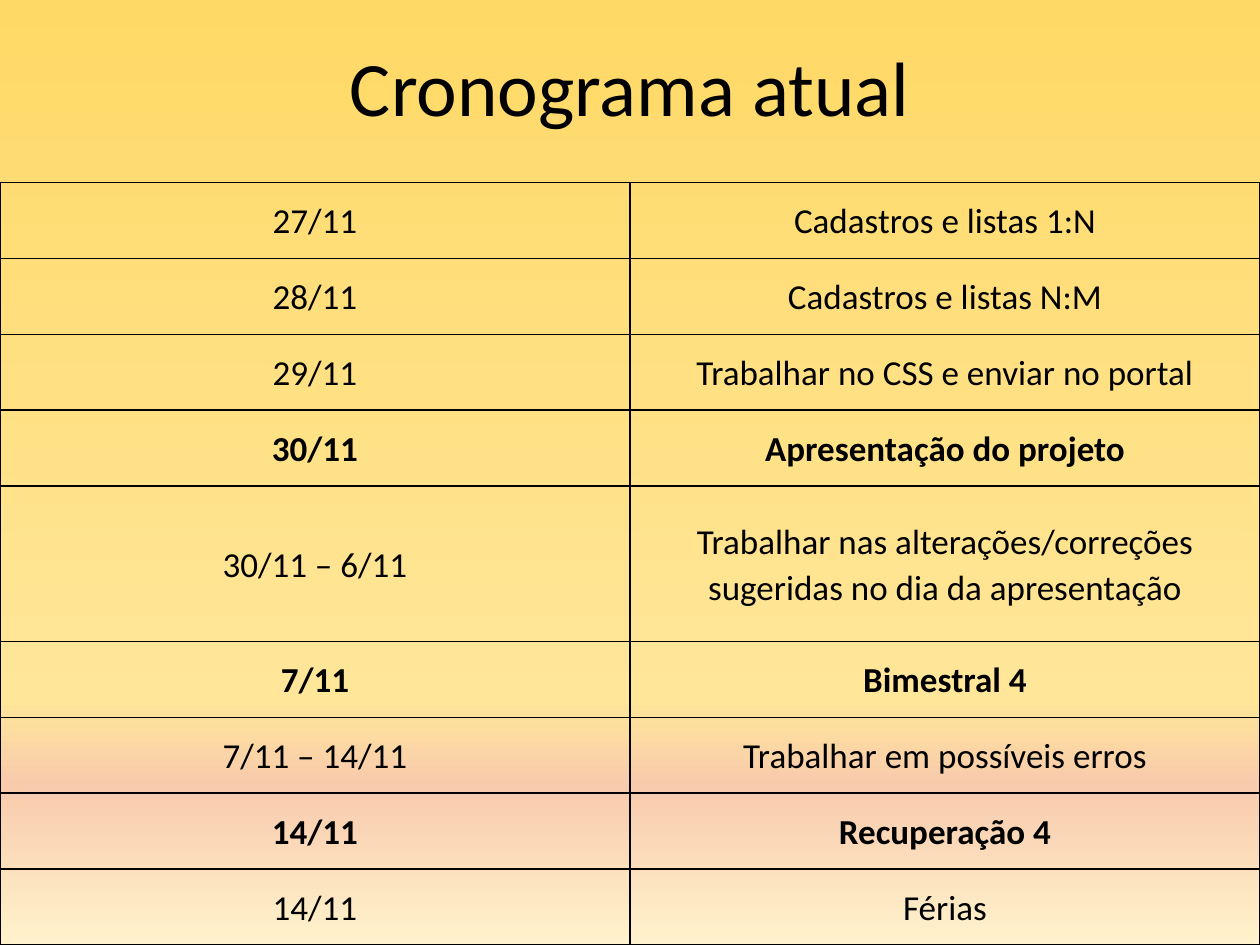
from lxml.etree import SubElement
from pptx import Presentation
from pptx.dml.color import RGBColor
from pptx.enum.text import MSO_ANCHOR, PP_ALIGN
from pptx.oxml.ns import qn
from pptx.util import Cm, Pt

BLACK = RGBColor(0x00, 0x00, 0x00)
GOLD = RGBColor(0xFF, 0xD9, 0x66)
LIGHT_GOLD = RGBColor(0xFF, 0xE6, 0x99)
PEACH = RGBColor(0xF8, 0xCB, 0xAD)
CREAM = RGBColor(0xFF, 0xF2, 0xCC)
FONT = "Calibri"

TITLE = "Cronograma atual"
BACKGROUND = [(0, GOLD), (74, LIGHT_GOLD), (83, PEACH), (100, CREAM)]
SCHEDULE = [
    ("27/11", "Cadastros e listas 1:N", False),
    ("28/11", "Cadastros e listas N:M", False),
    ("29/11", "Trabalhar no CSS e enviar no portal", False),
    ("30/11", "Apresentação do projeto", True),
    ("30/11 – 6/11", "Trabalhar nas alterações/correções sugeridas no dia da apresentação", False),
    ("7/11", "Bimestral 4", True),
    ("7/11 – 14/11", "Trabalhar em possíveis erros", False),
    ("14/11", "Recuperação 4", True),
    ("14/11", "Férias", False),
]
WIDTH, HEIGHT = 25.4, 19.05
TITLE_HEIGHT = 3.68
ROW_HEIGHT = 1.53
TALL_ROW = 4


def write(tf, text, size, bold=False, spacing=1.0):
    tf.word_wrap = True
    p = tf.paragraphs[0]
    p.alignment = PP_ALIGN.CENTER
    p.line_spacing = spacing
    r = p.add_run()
    r.text = text
    r.font.name = FONT
    r.font.size = Pt(size)
    r.font.bold = bold
    r.font.color.rgb = BLACK


def add_solid(parent, color):
    fill = SubElement(parent, qn("a:solidFill"))
    SubElement(fill, qn("a:srgbClr"), val=str(color))


def paint_background(s):
    fill = s.background.fill
    fill.gradient()
    fill.gradient_angle = 270
    stops = s.element.find(".//" + qn("a:gsLst"))
    for stop in list(stops):
        stops.remove(stop)
    for percent, color in BACKGROUND:
        stop = SubElement(stops, qn("a:gs"), pos=str(percent * 1000))
        SubElement(stop, qn("a:srgbClr"), val=str(color))


def style_cell(cell):
    cell.vertical_anchor = MSO_ANCHOR.MIDDLE
    cell.margin_left = cell.margin_right = Cm(0.18)
    cell.margin_top = cell.margin_bottom = 0
    tc_pr = cell._tc.get_or_add_tcPr()
    for side in ("L", "R", "T", "B"):
        add_solid(SubElement(tc_pr, qn(f"a:ln{side}"), w=str(Pt(1))), BLACK)
    cell.fill.background()


def add_title(s):
    sp = s.shapes.add_textbox(0, 0, Cm(WIDTH), Cm(TITLE_HEIGHT))
    sp.text_frame.vertical_anchor = MSO_ANCHOR.MIDDLE
    write(sp.text_frame, TITLE, 44, spacing=0.9)


def add_schedule(s):
    table_height = HEIGHT - TITLE_HEIGHT
    table = s.shapes.add_table(
        len(SCHEDULE), 2, 0, Cm(TITLE_HEIGHT), Cm(WIDTH), Cm(table_height)
    ).table
    table.first_row = table.horz_banding = False
    for row in table.rows:
        row.height = Cm(ROW_HEIGHT)
    table.rows[TALL_ROW].height = Cm(table_height - ROW_HEIGHT * (len(SCHEDULE) - 1))
    for i, (date, task, bold) in enumerate(SCHEDULE):
        for j, text in enumerate((date, task)):
            cell = table.cell(i, j)
            style_cell(cell)
            write(cell.text_frame, text, 20, bold=bold, spacing=1.07)


def main():
    prs = Presentation()
    prs.slide_width, prs.slide_height = Cm(WIDTH), Cm(HEIGHT)
    s = prs.slides.add_slide(prs.slide_layouts[6])
    paint_background(s)
    add_title(s)
    add_schedule(s)
    prs.save("out.pptx")


if __name__ == "__main__":
    main()
